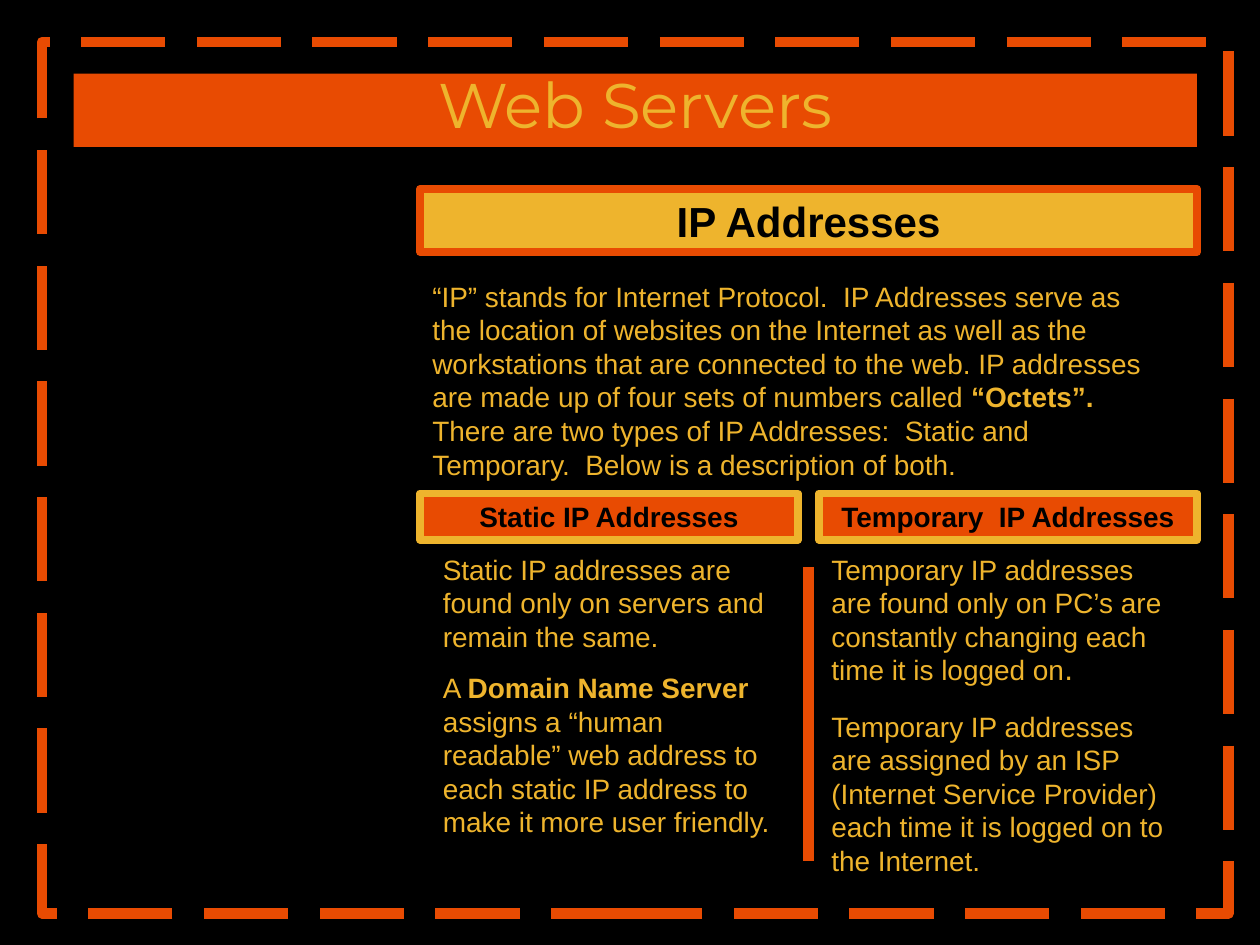
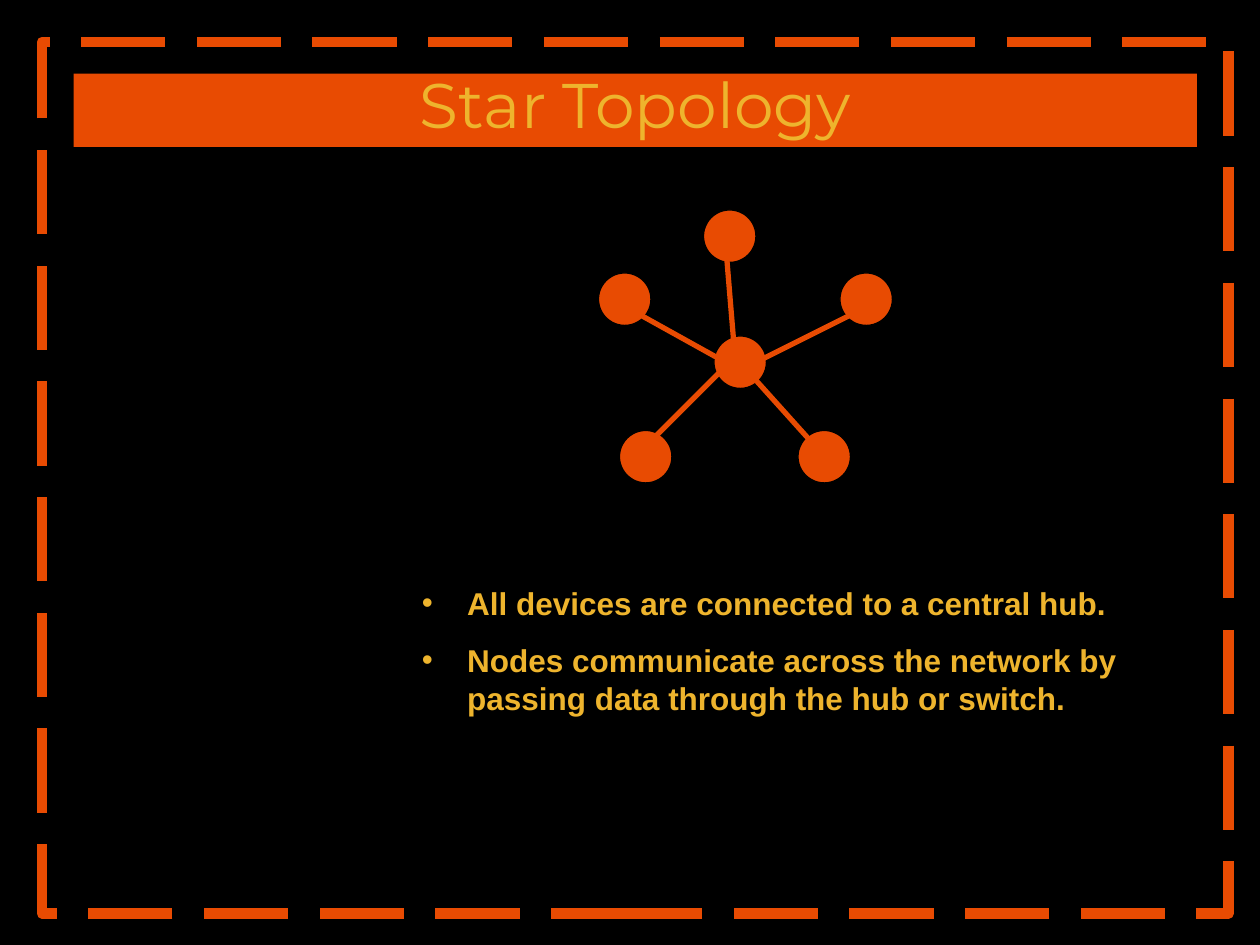
from lxml import etree
from pptx import Presentation
from pptx.dml.color import RGBColor
from pptx.enum.dml import MSO_LINE
from pptx.enum.shapes import MSO_CONNECTOR, MSO_SHAPE
from pptx.enum.text import MSO_ANCHOR, PP_ALIGN
from pptx.oxml.ns import qn
from pptx.util import Inches, Pt

COLORS = {"back": "000000", "orange": "E84B02", "gold": "EEB42D"}
FONTS = {"title": "Montserrat", "body": "Arial"}

# Places are (left, top, width, height) in grid cells of a twelfth of an inch
CELL = 1 / 12
BORDER = (4, 4, 113, 83)
TITLE = (7, 7, 107, 7)

# Panels: text, place, size, fill, line
PANELS = [
    ("IP Addresses", (40, 18, 74, 6), 24, "gold", "orange"),
    ("Static IP Addresses", (40, 47, 36, 4.4), 16, "orange", "gold"),
    ("Temporary  IP Addresses", (78, 47, 36, 4.4), 16, "orange", "gold"),
]

# Texts: place, space between paragraphs, paragraphs of (text, format) runs
BOLD = {"bold": True}
IP_TEXTS = [
    ((40, 26, 71, 20.4), 10, [
        [("“IP” stands for Internet Protocol.  IP Addresses serve as the location of "
          "websites on the Internet as well as the workstations that are connected to "
          "the web. IP addresses are made up of four sets of numbers called ", {}),
         ("“Octets”. ", BOLD),
         ("There are two types of IP Addresses:  Static and Temporary.  "
          "Below is a description of both.", {})],
    ]),
    ((41, 52, 35, 28.4), 10, [
        [("Static IP addresses are found only on servers and remain the same.", {})],
        [("A ", {}), ("Domain Name Server", BOLD),
         (" assigns a “human readable” web address to each static IP address "
          "to make it more user friendly.", {})],
    ]),
    ((78, 52, 35, 32.6), 13, [
        [("Temporary IP addresses are found only on PC’s are constantly changing "
          "each time it is logged on", {}), (".", {"size": Pt(18)})],
        [("Temporary IP addresses are assigned by an ISP (Internet Service Provider) "
          "each time it is logged on to the Internet.", {})],
    ]),
]
DIVIDER = ((77, 54), (77, 82))

STAR_TEXT = ((39, 55, 71, 14), 11, [
    [("All devices are connected to a central hub.", BOLD)],
    [("Nodes communicate across the network by passing data through "
      "the hub or switch.", BOLD)],
])
NODE_SIZE = 5
NODES = [(67, 20), (76, 41), (59, 41), (57, 26), (80, 26), (68, 32)]
LINKS = [((61, 30), (70, 35)), ((61, 43), (70, 34)), ((71, 35), (83, 29)),
         ((70, 34), (69, 22)), ((70, 34), (79, 44))]


def grid(*cells):
    return [Inches(c * CELL) for c in cells]


def rgb(name):
    return RGBColor.from_string(COLORS[name])


def apply(target, values):
    for name, value in values.items():
        setattr(target, name, value)


def write(p, text, size, color, font="body", **extra):
    r = p.add_run()
    r.text = text
    r.font.color.rgb = rgb(color)
    apply(r.font, {"name": FONTS[font], "size": Pt(size), **extra})


def add_box(shapes, kind, place, fill=None, line="back", width=0.75):
    sp = shapes.add_shape(kind, *grid(*place))
    sp.shadow.inherit = False
    if fill:
        sp.fill.solid()
        sp.fill.fore_color.rgb = rgb(fill)
    else:
        sp.fill.background()
    sp.line.color.rgb = rgb(line)
    sp.line.width = Pt(width)
    return sp


def add_line(shapes, start, end, width):
    line = shapes.add_connector(MSO_CONNECTOR.STRAIGHT, *grid(*start, *end))
    line.line.color.rgb = rgb("orange")
    line.line.width = Pt(width)
    etree.SubElement(line._element.spPr, qn("a:effectLst"))


def add_bullet(p, hang):
    pPr = p._p.get_or_add_pPr()
    pPr.set("marL", str(Inches(hang)))
    pPr.set("indent", str(-Inches(hang)))
    color = etree.SubElement(pPr, qn("a:buClr"))
    etree.SubElement(color, qn("a:srgbClr"), val=COLORS["gold"])
    etree.SubElement(pPr, qn("a:buFont"), typeface=FONTS["body"])
    etree.SubElement(pPr, qn("a:buChar"), char="•")


def add_text(s, place, gap, paragraphs, size, bullets=False):
    tf = s.shapes.add_textbox(*grid(*place)).text_frame
    tf.word_wrap = True
    for i, runs in enumerate(paragraphs):
        p = tf.paragraphs[0] if i == 0 else tf.add_paragraph()
        if bullets:
            add_bullet(p, 0.36)
        p.line_spacing = Pt(size * 1.2)
        p.space_before = Pt(gap if i else 0)
        for text, extra in runs:
            write(p, text, **{"size": size, "color": "gold"} | {
                k: v.pt if k == "size" else v for k, v in extra.items()})


def add_slide(prs, title):
    s = prs.slides.add_slide(prs.slide_layouts[5])
    s.background.fill.solid()
    s.background.fill.fore_color.rgb = rgb("back")
    # Dashed border
    border = add_box(s.shapes, MSO_SHAPE.RECTANGLE, BORDER, line="orange", width=6)
    border.line.dash_style = MSO_LINE.LONG_DASH
    # Title band
    sp = s.shapes.title
    apply(sp, dict(zip(("left", "top", "width", "height"), grid(*TITLE))))
    sp.fill.solid()
    sp.fill.fore_color.rgb = rgb("orange")
    sp.text_frame.vertical_anchor = MSO_ANCHOR.MIDDLE
    p = sp.text_frame.paragraphs[0]
    apply(p, {"alignment": PP_ALIGN.CENTER, "line_spacing": 0.8, "space_before": Pt(0)})
    write(p, title, 36, "gold", "title")
    return s


def build_ip_slide(prs):
    s = add_slide(prs, "Web Servers")
    for text, place, size, fill, line in PANELS:
        sp = add_box(s.shapes, MSO_SHAPE.RECTANGLE, place, fill, line, 4.5)
        apply(sp.text_frame, {"word_wrap": True, "vertical_anchor": MSO_ANCHOR.MIDDLE})
        p = sp.text_frame.paragraphs[0]
        p.alignment = PP_ALIGN.CENTER
        write(p, text, size, "back", bold=True)
    add_line(s.shapes, *DIVIDER, 6)
    for place, gap, paragraphs in IP_TEXTS:
        add_text(s, place, gap, paragraphs, 16)


def build_star_slide(prs):
    s = add_slide(prs, "Star Topology")
    add_text(s, *STAR_TEXT, 18, bullets=True)
    # Star diagram: nodes, then their links
    star = s.shapes.add_group_shape()
    for left, top in NODES:
        add_box(star.shapes, MSO_SHAPE.OVAL, (left, top, NODE_SIZE, NODE_SIZE), "orange")
    for start, end in LINKS:
        add_line(star.shapes, start, end, 3)


def main():
    prs = Presentation()
    prs.slide_width, prs.slide_height = Inches(10), Inches(7.5)
    build_ip_slide(prs)
    build_star_slide(prs)
    prs.save("out.pptx")


if __name__ == "__main__":
    main()
